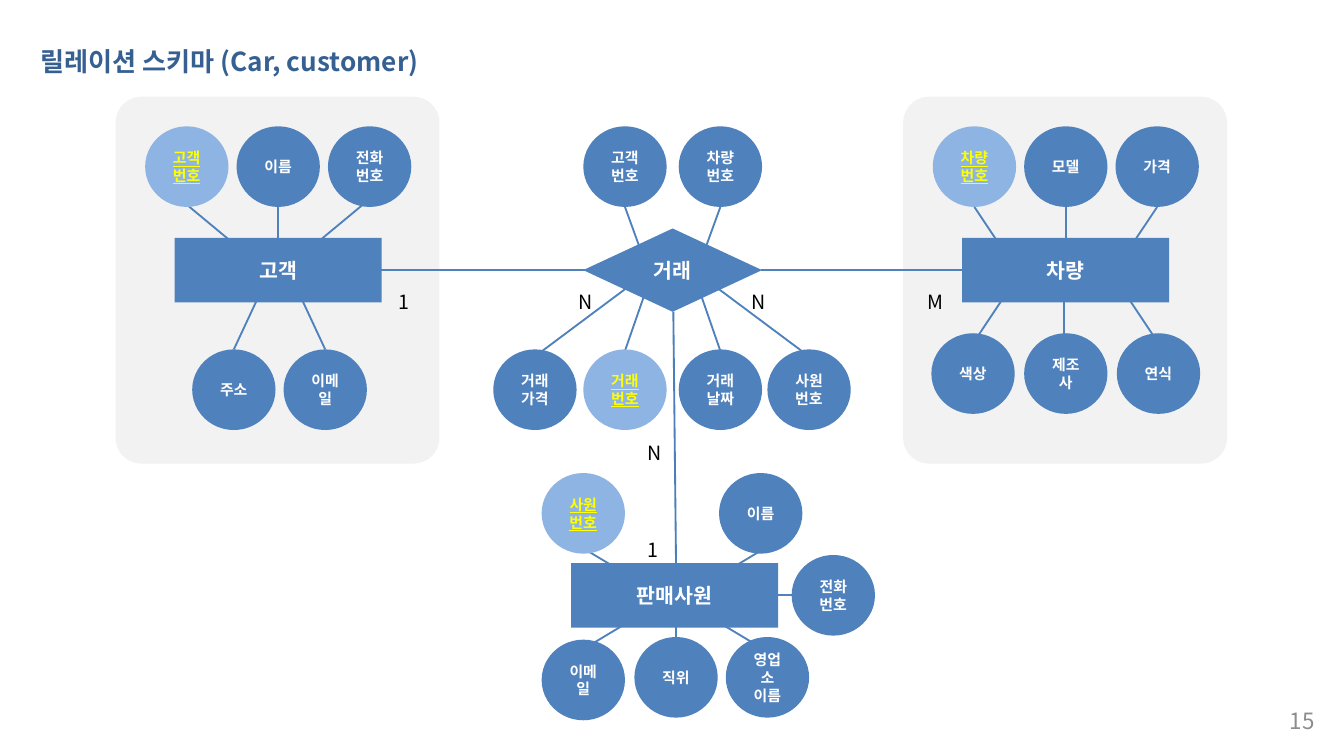
from lxml.etree import SubElement
from pptx import Presentation
from pptx.dml.color import RGBColor
from pptx.enum.shapes import MSO_CONNECTOR, MSO_SHAPE
from pptx.enum.text import MSO_ANCHOR, MSO_AUTO_SIZE, PP_ALIGN
from pptx.oxml.ns import qn
from pptx.util import Emu, Pt

PX = 9144  # 100 px to the inch
FONT = "Noto Sans CJK KR"
BLUE, KEY_BLUE, PANEL = "4F81BD", "8EB4E3", "F2F2F2"
WHITE, YELLOW, BLACK = "FFFFFF", "FFFF00", "000000"


def px(n):
    return Emu(n * PX)


def rgb(color):
    return RGBColor.from_string(color)


def write(tf, text, size, color, bold=False, underline=None,
          align=PP_ALIGN.LEFT, anchor=MSO_ANCHOR.MIDDLE):
    """Fill a text frame with one paragraph; a newline is a line break."""
    tf.word_wrap = True
    tf.vertical_anchor = anchor
    p = tf.paragraphs[0]
    p.alignment = align
    for i, part in enumerate(text.split("\n")):
        if i:
            p.add_line_break()
        r = p.add_run()
        r.text = part
        r.font.size = Pt(size)
        r.font.name = FONT
        r.font.bold = bold
        r.font.underline = underline
        r.font.color.rgb = rgb(color)
        SubElement(r.font._element, qn("a:ea"), typeface=FONT)
    for br in p._p.findall(qn("a:br")):
        SubElement(br, qn("a:rPr"), sz=str(size * 100))
    return p


class Diagram:
    def __init__(self, slide):
        self.s = slide

    def shape(self, kind, x, y, w, h, fill):
        sp = self.s.shapes.add_shape(kind, px(x), px(y), px(w), px(h))
        sp.shadow.inherit = False
        sp.fill.solid()
        sp.fill.fore_color.rgb = rgb(fill)
        sp.line.fill.background()
        return sp

    def panel(self, x):
        sp = self.shape(MSO_SHAPE.ROUNDED_RECTANGLE, x, 72, 241, 273, PANEL)
        sp.adjustments[0] = 0.08

    def line(self, x1, y1, x2, y2, color=BLUE):
        c = self.s.shapes.add_connector(
            MSO_CONNECTOR.STRAIGHT, px(x1), px(y1), px(x2), px(y2))
        c.line.color.rgb = rgb(color)
        c.line.width = Pt(1)
        SubElement(c._element.spPr, qn("a:effectLst"))

    def line_pair(self, both, x1, y1, x2, y2):
        """A line and its mirror; both is twice the x of the mirror axis."""
        self.line(x1, y1, x2, y2)
        self.line(both - x1, y1, both - x2, y2)

    def node(self, text, x, y, w=154, h=48, kind=MSO_SHAPE.RECTANGLE):
        sp = self.shape(kind, x, y, w, h, BLUE)
        write(sp.text_frame, text, 11, WHITE, bold=True, align=PP_ALIGN.CENTER)

    def attributes(self, x, y, labels, step=68, key=None):
        """A row of attribute circles; the one at index key is the primary key."""
        for i, label in enumerate(labels):
            is_key = i == key
            sp = self.shape(MSO_SHAPE.OVAL, x + i * step, y, 62, 60,
                            KEY_BLUE if is_key else BLUE)
            write(sp.text_frame, label, 8, YELLOW if is_key else WHITE,
                  bold=True, underline=is_key or None, align=PP_ALIGN.CENTER)

    def text(self, text, x, y, w, h, size, color, **fmt):
        tb = self.s.shapes.add_textbox(px(x), px(y), px(w), px(h))
        return tb.text_frame, write(tb.text_frame, text, size, color, **fmt)

    def cardinality(self, text, x, y, align=PP_ALIGN.CENTER):
        tf, p = self.text(text, x, y, 30, 29, 10.5, BLACK, align=align)
        tf.margin_top, tf.margin_bottom = 0, px(5)
        p.line_spacing = 2.0
        pPr = p._p.get_or_add_pPr()
        pPr.set("marL", str(px(10)))
        pPr.set("indent", str(px(-10)))


# A 16:9 slide, 10 inches wide
prs = Presentation()
prs.slide_width = px(1000)
prs.slide_height = Emu(prs.slide_width * 9 // 16)
d = Diagram(prs.slides.add_slide(prs.slide_layouts[6]))

# Panels behind customer and car
for x in (86, 672):
    d.panel(x)

# Relationship lines
d.line(460, 201, 249, 201)
d.line(767, 201, 566, 201)
d.line(501, 232, 503, 419, color="4B7EBC")

# Attribute lines: mirrored pairs, then single ones
for pair in [
    (409, 135, 149, 176, 183), (416, 174, 260, 195, 215),    # customer
    (1001, 465, 154, 481, 198), (1001, 464, 264, 481, 215),  # deal
    (1000, 397, 266, 472, 210),
    (1586, 725, 154, 747, 187), (1586, 725, 254, 747, 221),  # car
    (1003, 434, 408, 464, 426), (1002, 434, 483, 464, 465),  # salesperson
]:
    d.line_pair(*pair)
for single in [(207, 154, 207, 198), (793, 154, 793, 183), (792, 254, 792, 225),
               (589, 443, 579, 443), (503, 483, 503, 465)]:
    d.line(*single)

# Customer
d.node("고객", 130, 177)
d.attributes(108, 94, ["고객\n번호", "이름", "전화번호"], key=0)
d.attributes(143, 260, ["주소", "이메일"])

# Deal
d.node("거래", 434, 170, 133, 62, MSO_SHAPE.DIAMOND)
d.attributes(434, 94, ["고객번호", "차량번호"], step=71)
d.attributes(367, 260, ["거래가격", "거래번호"], step=67, key=1)
d.attributes(505, 260, ["거래날짜", "사원번호"], step=66)

# Car
d.node("차량", 716, 177)
d.attributes(694, 94, ["차량\n번호", "모델", "가격"], key=0)
d.attributes(693, 248, ["색상", "제조사", "연식"], step=69)

# Salesperson
d.node("판매사원", 425, 419)
d.attributes(403, 352, ["사원번호", "이름"], step=132, key=0)
d.attributes(589, 413, ["전화번호"])
d.attributes(403, 476, ["이메일"])
d.attributes(472, 474, ["직위", "영업소\n이름"])

# Cardinalities
for label, x, y in [("M", 680, 204), ("N", 421, 204), ("N", 549, 204),
                    ("N", 472, 316)]:
    d.cardinality(label, x, y)
for x, y in [(287, 204), (472, 388)]:
    d.cardinality("1", x, y, align=PP_ALIGN.LEFT)

# Title and page number
title, _ = d.text("릴레이션 스키마 (Car, customer)", 20, 29, 361, 34, 14, "376092",
                  bold=True, anchor=MSO_ANCHOR.TOP)
title.auto_size = MSO_AUTO_SIZE.SHAPE_TO_FIT_TEXT
d.text("15", 932, 521, 56, 30, 12, "8C8C8C", align=PP_ALIGN.RIGHT)

prs.save("out.pptx")
